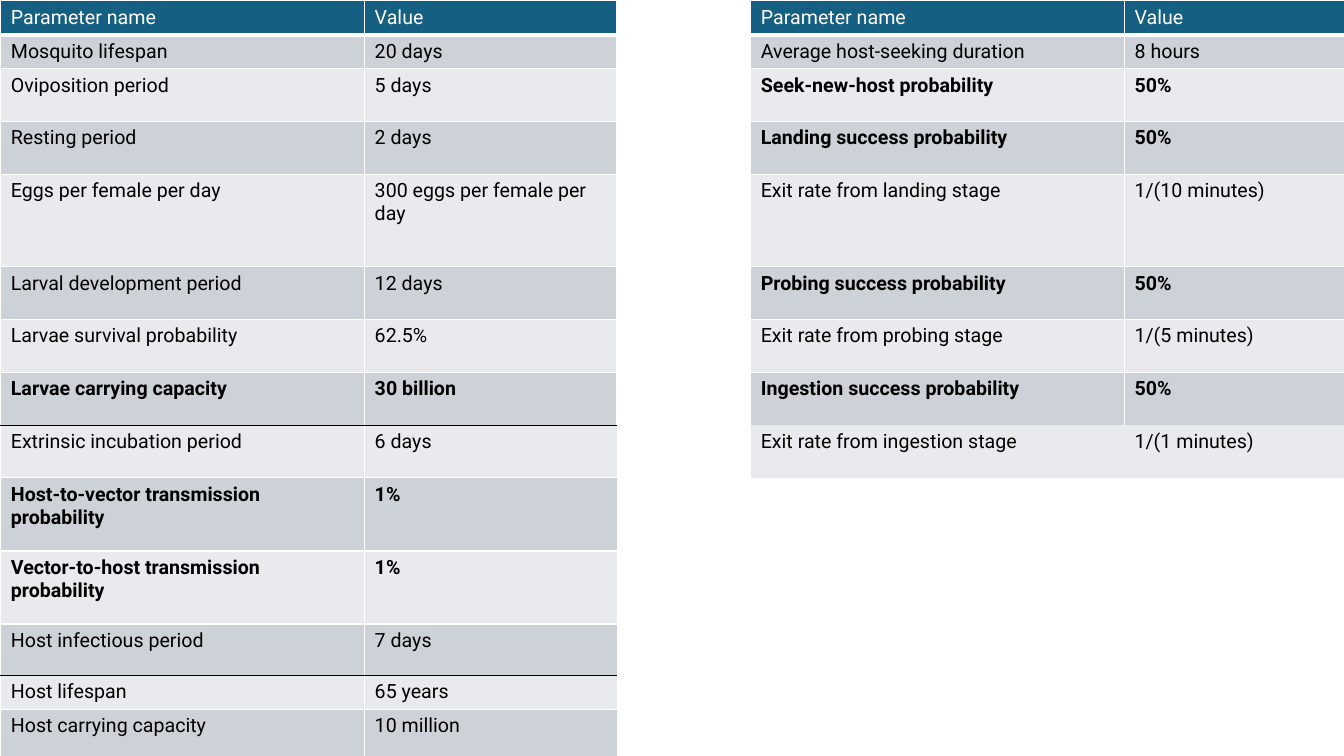
from itertools import zip_longest

from lxml.etree import SubElement as Sub
from pptx import Presentation
from pptx.dml.color import RGBColor as RGB
from pptx.oxml.ns import qn
from pptx.util import Cm, Pt


class Theme:
    font = "Roboto"
    size = Pt(14)
    head = "156082"
    bands = ("E8EAED", "CCD2D8")
    white = "FFFFFF"
    black = "000000"
    thin = Pt(1)
    thick = Pt(3)


def edge(cell, side, color, width=Theme.thin):
    """Draw one border of a cell; a color of None hides it."""
    line = Sub(cell._tc.get_or_add_tcPr(), qn(f"a:ln{side}"), w=str(width))
    if color:
        fill = Sub(line, qn("a:solidFill"))
        Sub(fill, qn("a:srgbClr"), val=color)
    else:
        Sub(line, qn("a:noFill"))


def write(cell, text, color, bold):
    para = cell.text_frame.paragraphs[0]
    run = para.add_run()
    run.text = text
    font = run.font
    font.name, font.size, font.bold = Theme.font, Theme.size, bold
    font.color.rgb = RGB.from_string(color)


# Name, value, bold
left = [
    ("Parameter name", "Value", False),
    ("Mosquito lifespan", "20 days", False),
    ("Oviposition period", "5 days", False),
    ("Resting period", "2 days", False),
    ("Eggs per female per day", "300 eggs per female per day", False),
    ("Larval development period", "12 days", False),
    ("Larvae survival probability", "62.5%", False),
    ("Larvae carrying capacity", "30 billion", True),
    ("Extrinsic incubation period", "6 days", False),
    ("Host-to-vector transmission probability", "1%", True),
    ("Vector-to-host transmission probability", "1%", True),
    ("Host infectious period", "7 days", False),
    ("Host lifespan", "65 years", False),
    ("Host carrying capacity", "10 million", False),
]
right = [
    ("Parameter name", "Value", False),
    ("Average host-seeking duration", "8 hours", False),
    ("Seek-new-host probability", "50%", True),
    ("Landing success probability", "50%", True),
    ("Exit rate from landing stage", "1/(10 minutes)", False),
    ("Probing success probability", "50%", True),
    ("Exit rate from probing stage", "1/(5 minutes)", False),
    ("Ingestion success probability", "50%", True),
    ("Exit rate from ingestion stage", "1/(1 minutes)", False),
]
widths = [9.17, 6.35, 3.38, 9.42, 5.54]
heights = [0.83, 0.83, 1.33, 1.33, 2.33, 1.33, 1.33,
           1.33, 1.33, 1.84, 1.84, 1.3, 0.83, 1.3]
breaks = (7, 11)  # rows of the left block that end in a black rule
last = len(right) - 1

deck = Presentation()
deck.slide_width, deck.slide_height = Cm(33.87), Cm(19.05)
slide = deck.slides.add_slide(deck.slide_layouts[6])
table = slide.shapes.add_table(
    len(heights), len(widths), Cm(0.02), Cm(0.02),
    Cm(sum(widths)), Cm(sum(heights))).table
table.first_row = table.horz_banding = False
for col, width in zip(table.columns, widths):
    col.width = Cm(width)
for row, height in zip(table.rows, heights):
    row.height = Cm(height)

blank = (None, None, False)
for r, (a, b) in enumerate(zip_longest(left, right, fillvalue=blank)):
    texts = [*a[:2], None, *b[:2]]
    bolds = [a[2]] * 2 + [False] + [b[2]] * 2
    for c, (text, bold) in enumerate(zip(texts, bolds)):
        cell = table.cell(r, c)
        main = c < 2
        # The last row on the right stands without borders
        base = Theme.white if main or r < last else None
        edge(cell, "L", base)
        edge(cell, "R", base)
        if r == 1:
            edge(cell, "T", base, Theme.thick)
        else:
            edge(cell, "T", Theme.black if main and r - 1 in breaks else base)
        if r == 0:
            edge(cell, "B", base, Theme.thick)
        else:
            edge(cell, "B", Theme.black if main and r in breaks else base)

        if text is None:
            cell.fill.background()
            para = cell.text_frame.paragraphs[0]
            Sub(para._p, qn("a:endParaRPr"), sz=str(int(Theme.size.pt * 100)))
        else:
            cell.fill.solid()
            tone = Theme.bands[r % 2] if r else Theme.head
            cell.fill.fore_color.rgb = RGB.from_string(tone)
            write(cell, text, Theme.black if r else Theme.white, bold)

deck.save("out.pptx")
